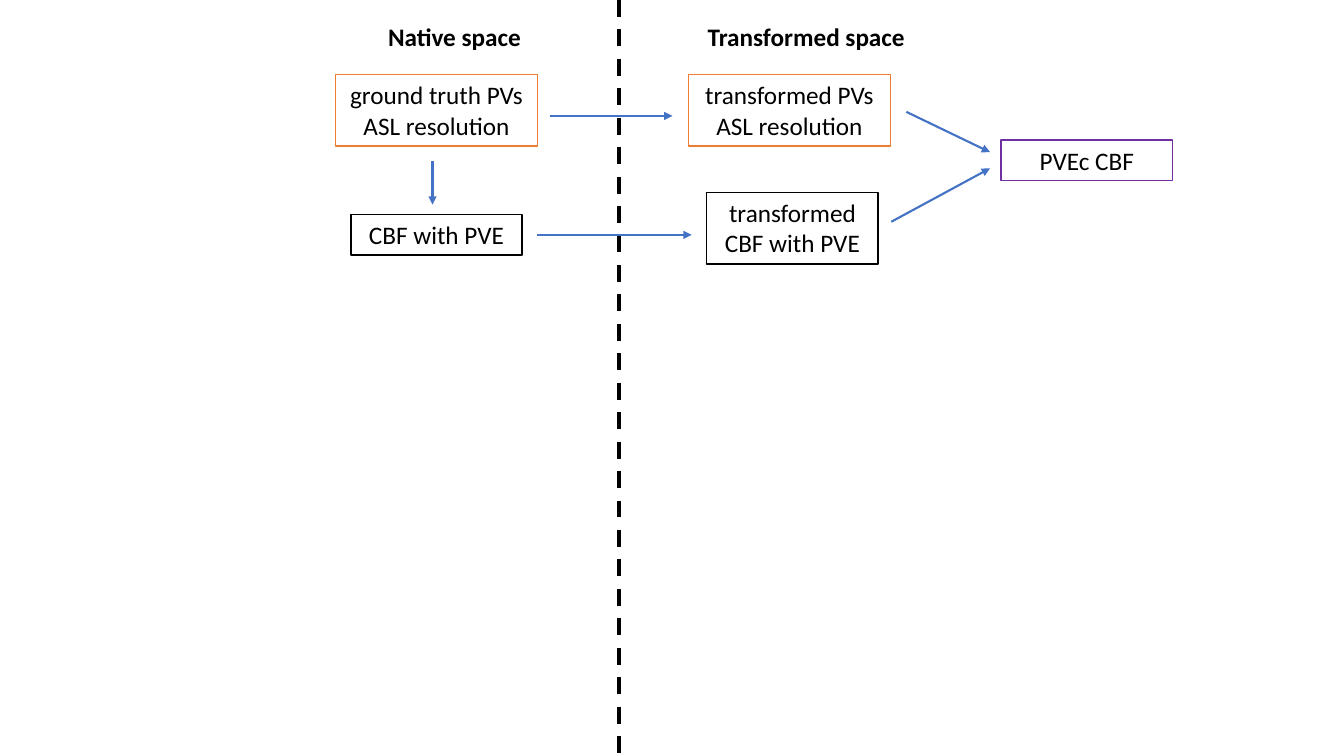
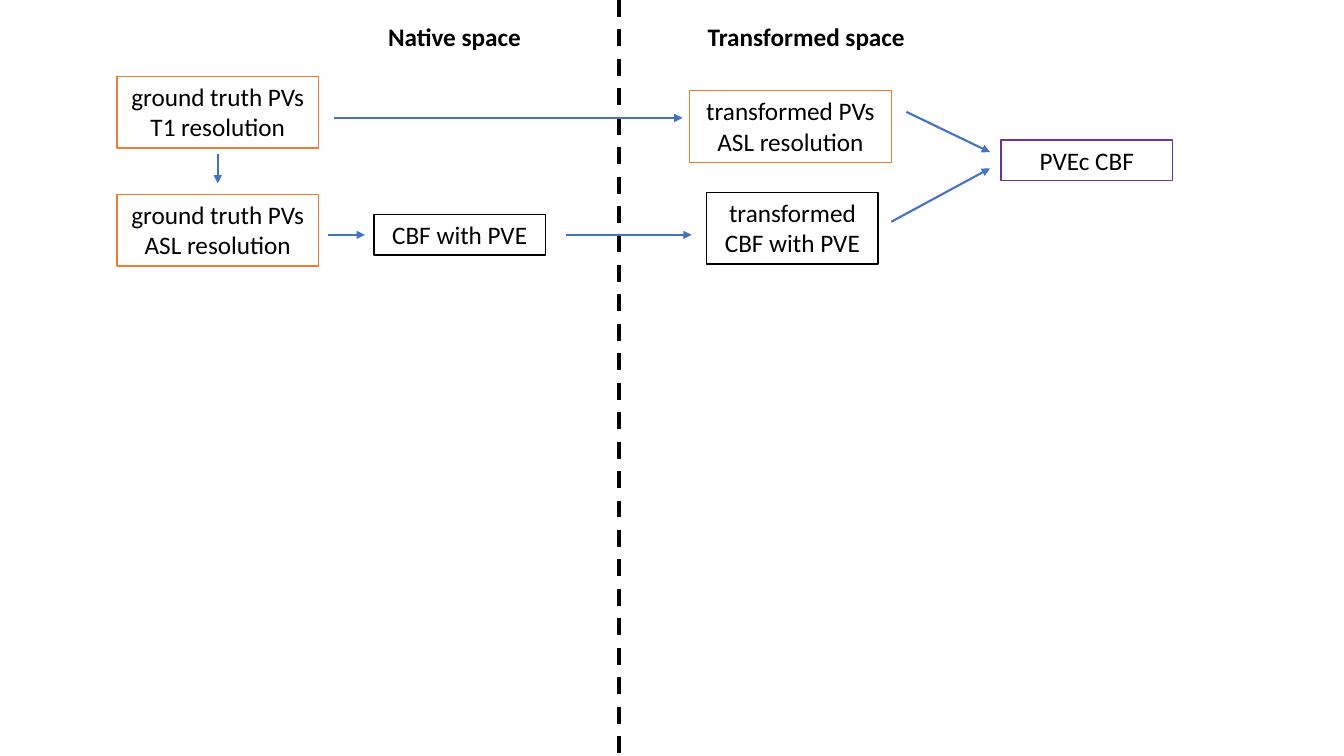
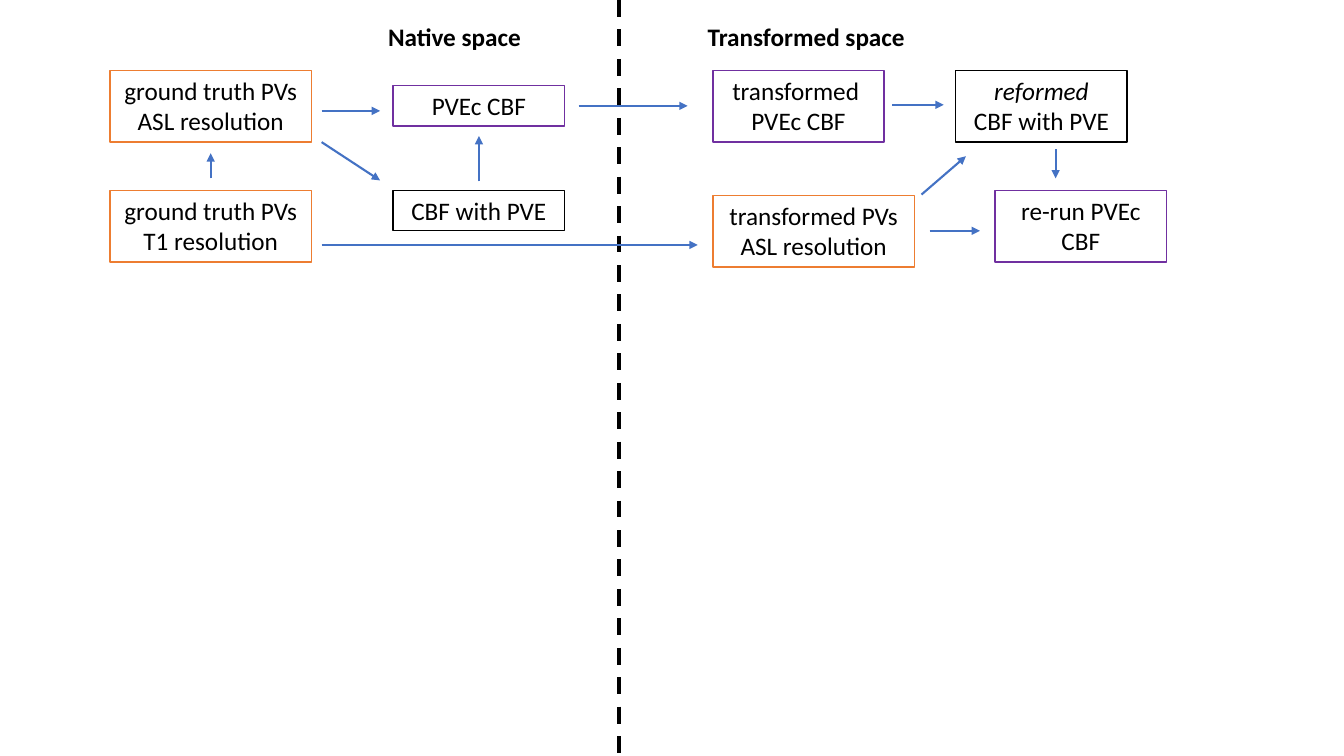
from pptx import Presentation
from pptx.dml.color import RGBColor
from pptx.enum.dml import MSO_LINE as Dash
from pptx.enum.shapes import MSO_CONNECTOR as Link, MSO_SHAPE as Form
from pptx.enum.text import MSO_ANCHOR as Anchor, MSO_AUTO_SIZE as Fit, PP_ALIGN as Align
from pptx.oxml.ns import qn
from pptx.util import Emu, Pt
from lxml.etree import SubElement

SCALE = 9144  # EMU in one px, 100 px to the inch
WIDTH, HEIGHT = 1333, 750

# Line colours by meaning
BLACK, BLUE = "000000", "4472C4"
CBF, PVS, PVEC = BLACK, "ED7D31", "7030A0"

# Box sizes: widths by content, heights by rows of text
WIDE, SLIM = 200, 170
TALL = {1: 40, 2: 71}

# Box texts
TRUTH_ASL = "ground truth PVs\nASL resolution"
TRUTH_T1 = "ground truth PVs\nT1 resolution"
MOVED_PVS = "transformed PVs\nASL resolution"


def px(*sizes):
    return [Emu(size * SCALE) for size in sizes]


def tint(code):
    return RGBColor.from_string(code)


class Deck:
    font, size = "Calibri", 18

    def __init__(self):
        self.prs = Presentation()
        self.prs.slide_width, self.prs.slide_height = px(WIDTH, HEIGHT)

    def page(self):
        """Start a slide with its divider and the two headings."""
        self.slide = self.prs.slides.add_slide(self.prs.slide_layouts[6])
        rule = self.line(614, 0, 614, HEIGHT, BLACK, 3)
        rule.line.dash_style = Dash.DASH
        self.head("Native space", 375, 158)
        self.head("Transformed space", 692, 219)

    def label(self, shape, text, align, bold=False):
        frame = shape.text_frame
        frame.text = text
        frame.vertical_anchor = Anchor.TOP
        frame.auto_size = Fit.SHAPE_TO_FIT_TEXT
        for para in frame.paragraphs:
            para.alignment = align
            for run in para.runs:
                font = run.font
                font.name, font.size, font.bold = self.font, Pt(self.size), bold
                font.color.rgb = tint(BLACK)
        return frame

    def head(self, text, left, width):
        box = self.slide.shapes.add_textbox(*px(left, 16, width, TALL[1]))
        self.label(box, text, Align.LEFT, bold=True).word_wrap = False

    def box(self, text, left, top, color, width=SLIM, rows=None):
        rows = rows or len(text.split("\n"))
        shape = self.slide.shapes.add_shape(
            Form.RECTANGLE, *px(left, top, width, TALL[rows]))
        shape.shadow.inherit = False
        shape.fill.background()
        shape.line.color.rgb = tint(color)
        shape.line.width = Pt(1)
        frame = self.label(shape, text, Align.CENTER)
        frame.word_wrap = True
        return frame

    def line(self, x1, y1, x2, y2, color, weight):
        link = self.slide.shapes.add_connector(Link.STRAIGHT, *px(x1, y1, x2, y2))
        link.line.color.rgb = tint(color)
        link.line.width = Pt(weight)
        SubElement(link._element.spPr, qn("a:effectLst"))
        return link

    def arrow(self, x1, y1, x2, y2):
        link = self.line(x1, y1, x2, y2, BLUE, 1.5)
        stroke = link._element.spPr.find(qn("a:ln"))
        SubElement(stroke, qn("a:tailEnd"), type="triangle")

    def merge(self):
        """Both transformed inputs lead to the corrected CBF."""
        self.box("transformed\nCBF with PVE", 701, 191, CBF)
        self.box("PVEc CBF", 993, 139, PVEC)
        self.arrow(884, 220, 982, 167)
        self.arrow(899, 111, 982, 151)


def main():
    deck = Deck()

    # Slide 1: PVs at ASL resolution
    deck.page()
    deck.box(TRUTH_ASL, 333, 74, PVS, WIDE)
    deck.box("CBF with PVE", 348, 213, CBF)
    deck.box(MOVED_PVS, 683, 74, PVS, WIDE)
    deck.merge()
    deck.arrow(429, 160, 429, 203)
    deck.arrow(533, 233, 686, 233)
    deck.arrow(545, 115, 667, 115)

    # Slide 2: PVs at T1 resolution
    deck.page()
    deck.box(TRUTH_T1, 116, 76, PVS, WIDE)
    deck.box(TRUTH_ASL, 116, 193, PVS, WIDE)
    deck.box("CBF with PVE", 371, 213, CBF)
    deck.box(MOVED_PVS, 684, 90, PVS, WIDE)
    deck.merge()
    deck.arrow(216, 153, 216, 182)
    deck.arrow(325, 233, 362, 233)
    deck.arrow(561, 233, 686, 233)
    deck.arrow(331, 117, 677, 117)

    # Slide 3: correction in native space, native side
    deck.page()
    deck.box(TRUTH_ASL, 109, 70, PVS, WIDE)
    deck.box(TRUTH_T1, 109, 189, PVS, WIDE)
    deck.box("PVEc CBF", 390, 85, PVEC)
    deck.box("CBF with PVE", 390, 189, CBF)
    deck.arrow(209, 177, 209, 152)
    deck.arrow(319, 110, 377, 110)
    deck.arrow(319, 141, 377, 179)
    deck.arrow(475, 180, 475, 135)

    # Slide 3: transformed side
    deck.box("transformed \nPVEc CBF", 707, 70, PVEC)
    deck.box(MOVED_PVS, 707, 194, PVS, WIDE)
    formed = deck.box("reformed\nCBF with PVE", 948, 70, CBF)
    formed.paragraphs[0].runs[0].font.italic = True
    deck.box("re-run PVEc CBF", 987, 189, PVEC, rows=2)
    deck.arrow(574, 105, 682, 105)
    deck.arrow(319, 243, 692, 243)
    deck.arrow(885, 104, 936, 104)
    deck.arrow(914, 193, 958, 155)
    deck.arrow(922, 229, 972, 229)
    deck.arrow(1047, 148, 1047, 177)

    deck.prs.save("out.pptx")


if __name__ == "__main__":
    main()
